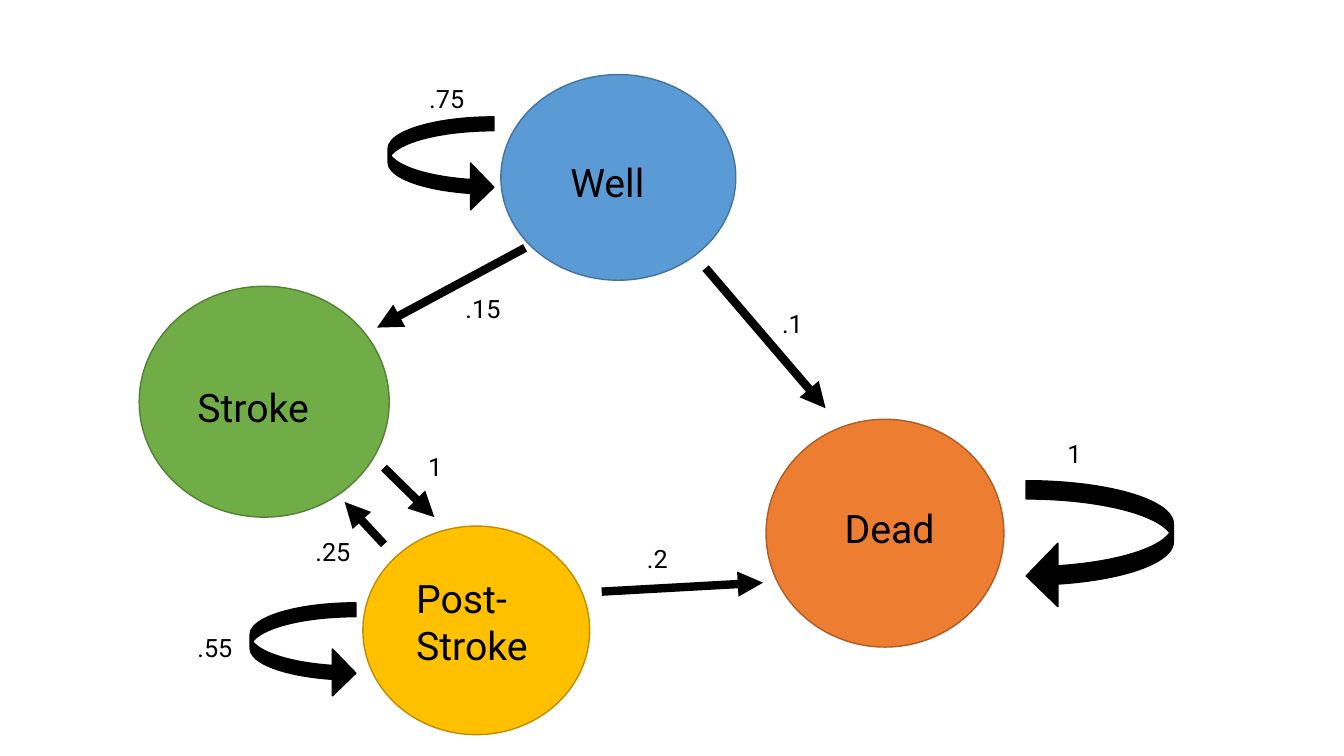
from lxml import etree
from pptx import Presentation
from pptx.dml.color import RGBColor
from pptx.enum.shapes import MSO_CONNECTOR, MSO_SHAPE
from pptx.oxml.ns import qn
from pptx.util import Pt

OVAL = MSO_SHAPE.OVAL
LEFT_LOOP = MSO_SHAPE.CURVED_RIGHT_ARROW
RIGHT_LOOP = MSO_SHAPE.CURVED_LEFT_ARROW
STRAIGHT = MSO_CONNECTOR.STRAIGHT
FONT = "Roboto"
BLACK = "000000"

# name, circle (left, top, width, height), fill, outline, label (left, top, height)
STATES = [
    ("Well", (357.8, 53.3, 167.8, 146.9), "5B9BD5", "43739E", (400.3, 109.4, 41)),
    ("Post-Stroke", (259.2, 375.8, 162, 149), "FFC000", "BD8E00", (290.2, 406.8, 74.9)),
    ("Dead", (547.2, 299.5, 169.9, 162.7), "ED7D31", "AF5C24", (596.2, 356.4, 41)),
    ("Stroke", (99.4, 204.5, 178.6, 164.9), "70AD47", "538035", (133.9, 270, 41)),
]
STATE_LABEL_WIDTH = 118.8

# probability, label (left, top), arrow start, arrow end
TRANSITIONS = [
    (".15", (325.4, 205.9), (375.1, 177.1), (269.3, 234)),
    (".1", (551.5, 216.7), (504, 191.5), (589.7, 291.6)),
    (".2", (455, 384.5), (429.8, 422.6), (545, 416.2)),
    ("1", (298.8, 319), (274.3, 334.1), (310.3, 369.4)),
    (".25", (218.2, 379.4), (274.3, 388.8), (246.2, 358.6)),
]

# probability, label (left, top), arrow shape, arrow box, band thickness
LOOPS = [
    (".75", (299.5, 56.2), LEFT_LOOP, (277.2, 83.5, 75.6, 67), 0.148),
    (".55", (133.9, 447.8), LEFT_LOOP, (178.6, 430.6, 75.6, 67), 0.148),
    ("1", (755.3, 309.6), RIGHT_LOOP, (733, 343.4, 105.1, 90.7), 0.144),
]
PROBABILITY_SIZE = (49.7, 28.8)


def color(hex_string):
    return RGBColor.from_string(hex_string)


def points(values):
    return [Pt(value) for value in values]


def add_filled(page, kind, box, fill, outline):
    shape = page.shapes.add_shape(kind, *points(box))
    shape.shadow.inherit = False
    shape.fill.solid()
    shape.fill.fore_color.rgb = color(fill)
    shape.line.color.rgb = color(outline)
    shape.line.width = Pt(1)
    return shape


def add_label(page, text, box, size):
    frame = page.shapes.add_textbox(*points(box)).text_frame
    frame.word_wrap = True
    span = frame.paragraphs[0].add_run()
    span.text = text
    span.font.name = FONT
    span.font.size = Pt(size)
    span.font.color.rgb = color(BLACK)


def add_arrow(page, start, end):
    arrow = page.shapes.add_connector(STRAIGHT, *points(start + end))
    arrow.line.color.rgb = color(BLACK)
    arrow.line.width = Pt(6)
    etree.SubElement(arrow.line._get_or_add_ln(), qn("a:tailEnd"), type="triangle")
    etree.SubElement(arrow._element.spPr, qn("a:effectLst"))


def main():
    deck = Presentation()
    deck.slide_width, deck.slide_height = Pt(960), Pt(540)
    page = deck.slides.add_slide(deck.slide_layouts[6])

    for name, circle, fill, outline, (left, top, height) in STATES:
        add_filled(page, OVAL, circle, fill, outline)
        add_label(page, name, (left, top, STATE_LABEL_WIDTH, height), 28)

    for probability, corner, start, end in TRANSITIONS:
        add_arrow(page, start, end)
        add_label(page, probability, corner + PROBABILITY_SIZE, 18)

    for probability, corner, kind, box, thickness in LOOPS:
        loop = add_filled(page, kind, box, BLACK, BLACK)
        for index, value in enumerate((thickness, 0.5, 0.25)):
            loop.adjustments[index] = value
        add_label(page, probability, corner + PROBABILITY_SIZE, 18)

    deck.save("out.pptx")


if __name__ == "__main__":
    main()
